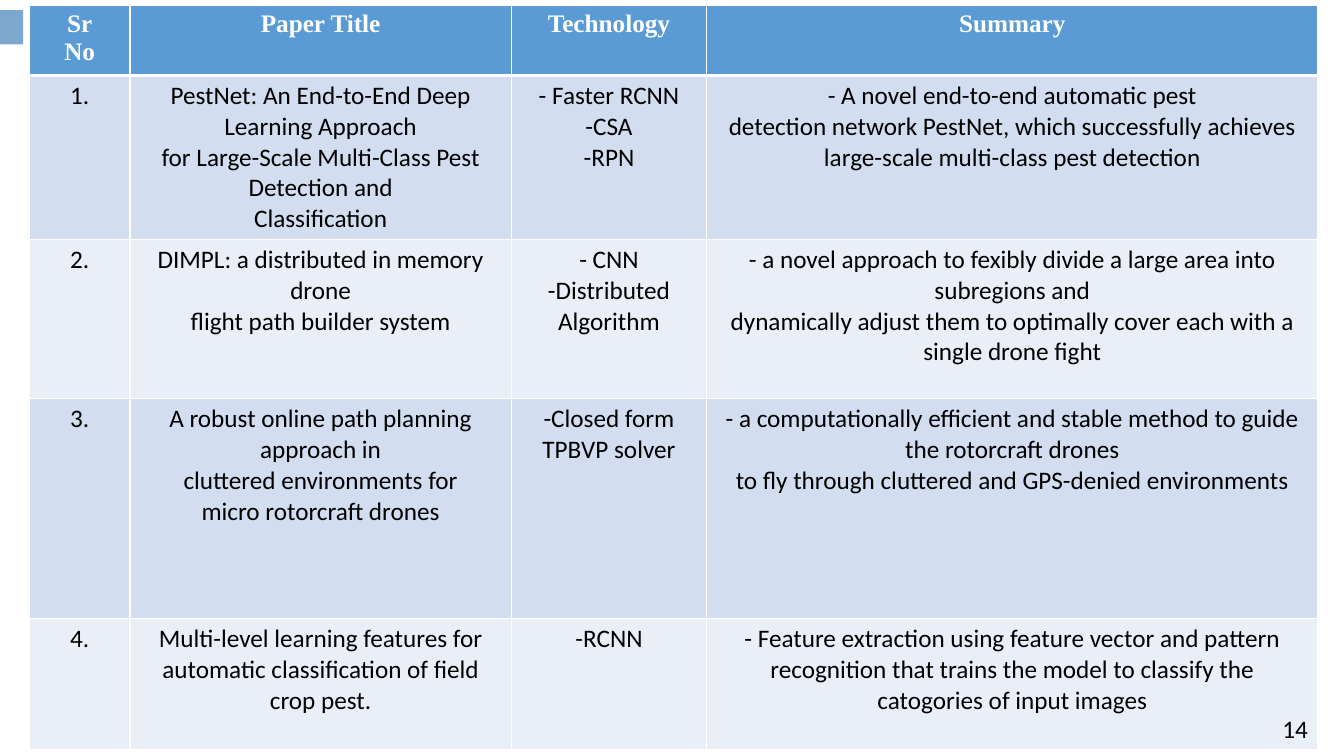
from typing import NamedTuple

from pptx import Presentation
from pptx.dml.color import RGBColor
from pptx.enum.shapes import MSO_SHAPE
from pptx.enum.text import PP_ALIGN
from pptx.oxml import parse_xml
from pptx.oxml.ns import nsdecls
from pptx.util import Inches, Pt

RECT = MSO_SHAPE.RECTANGLE
CENTER = PP_ALIGN.CENTER

COLORS = {
    "accent": "7CA7CE",
    "header": "5B9BD5",
    "odd": "D2DEEF",
    "even": "EAEFF7",
    "white": "FFFFFF",
    "black": "000000",
}
HEADINGS = ("Sr\nNo", "Paper Title", "Technology", "Summary")
COL_WIDTHS = (1, 3.78, 1.94, 6.06)
ROW_HEIGHTS = (0.7, 1.6, 1.58, 2.18, 1.3)


class Paper(NamedTuple):
    """One surveyed paper; line breaks separate paragraphs."""
    title: str
    technology: str
    summary: str


class CellStyle(NamedTuple):
    """Look of one kind of table cell."""
    fill: str
    color: str
    font: str
    bold: bool
    top: int
    bottom: int


PAPERS = (
    Paper("PestNet: An End-to-End Deep Learning Approach\n"
          "for Large-Scale Multi-Class Pest Detection and\nClassification",
          "- Faster RCNN\n-CSA\n-RPN",
          "- A novel end-to-end automatic pest\n"
          "detection network PestNet, which successfully achieves\n"
          "large-scale multi-class pest detection"),
    Paper("DIMPL: a distributed in memory drone\nflight path builder system",
          "- CNN\n-Distributed Algorithm",
          "- a novel approach to fexibly divide a large area into subregions and\n"
          "dynamically adjust them to optimally cover each with a single drone fight"),
    Paper("A robust online path planning approach in\n"
          "cluttered environments for\nmicro rotorcraft drones",
          "-Closed form TPBVP solver",
          "- a computationally efficient and stable method to guide the rotorcraft drones\n"
          "to fly through cluttered and GPS-denied environments"),
    Paper("Multi-level learning features for automatic classification of field crop pest.",
          "-RCNN",
          "- Feature extraction using feature vector and pattern recognition that "
          "trains the model to classify the catogories of input images"),
)
HEADER = CellStyle("header", "white", "Times New Roman", True, 1, 3)
ODD = CellStyle("odd", "black", "Calibri", False, 1, 1)
EVEN = ODD._replace(fill="even")


def rgb(name: str) -> RGBColor:
    """Look up a named colour."""
    return RGBColor.from_string(COLORS[name])


def write(tf, text: str, font: str, color: str, bold: bool = False, align=None) -> None:
    """Fill a text frame, one paragraph per line."""
    tf.text = text
    for p in tf.paragraphs:
        p.alignment = align
        p.font.name = font
        p.font.size = Pt(18)
        p.font.bold = bold
        p.font.color.rgb = rgb(color)


def add_borders(cell, style: CellStyle) -> None:
    """Give a cell white borders on all four sides."""
    tc_pr = cell._tc.get_or_add_tcPr()
    for side, width in (("L", 1), ("R", 1), ("T", style.top), ("B", style.bottom)):
        tc_pr.append(parse_xml(
            f'<a:ln{side} {nsdecls("a")} w="{Pt(width)}"><a:solidFill>'
            f'<a:srgbClr val="{COLORS["white"]}"/></a:solidFill></a:ln{side}>'))


def fill_row(table, row: int, texts: tuple, style: CellStyle) -> None:
    """Write and style one table row."""
    for col, text in enumerate(texts):
        cell = table.cell(row, col)
        add_borders(cell, style)
        cell.fill.solid()
        cell.fill.fore_color.rgb = rgb(style.fill)
        write(cell.text_frame, text, style.font, style.color, style.bold, CENTER)


def add_paper_table(slide) -> None:
    """Add the literature survey table."""
    table = slide.shapes.add_table(
        len(ROW_HEIGHTS), len(COL_WIDTHS), Inches(0.29), Inches(0.05),
        Inches(sum(COL_WIDTHS)), Inches(sum(ROW_HEIGHTS))).table
    for column, width in zip(table.columns, COL_WIDTHS):
        column.width = Inches(width)
    for row, height in zip(table.rows, ROW_HEIGHTS):
        row.height = Inches(height)
    fill_row(table, 0, HEADINGS, HEADER)
    for number, paper in enumerate(PAPERS, 1):
        style = ODD if number % 2 else EVEN
        if number == 1:
            style = style._replace(top=HEADER.bottom)
        fill_row(table, number, (f"{number}.", *paper), style)


prs = Presentation()
prs.slide_width, prs.slide_height = Inches(13.33), Inches(7.5)
slide = prs.slides.add_slide(prs.slide_layouts[6])

sp = slide.shapes.add_shape(RECT, 0, Inches(0.1), Inches(0.23), Inches(0.34))
sp.shadow.inherit = False
sp.fill.solid()
sp.fill.fore_color.rgb = rgb("accent")
sp.line.fill.background()

add_paper_table(slide)

page_number = slide.shapes.add_textbox(Inches(12.62), Inches(7.03), Inches(0.51), Inches(0.4))
page_number.text_frame.word_wrap = True
write(page_number.text_frame, "14", "Calibri", "black")

prs.save("out.pptx")
